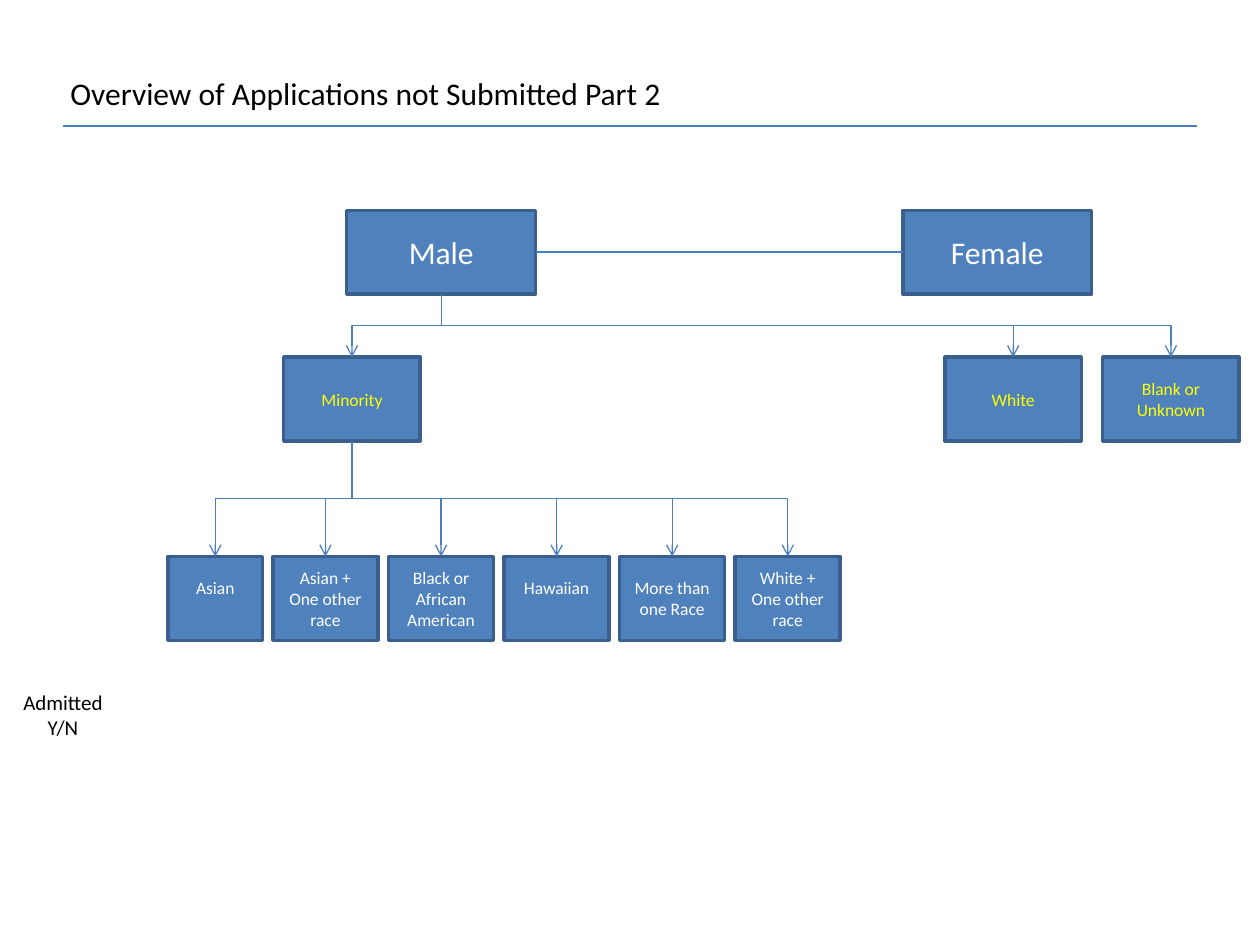
"""Build the overview slide of applications not submitted, by gender and race."""
from lxml.etree import SubElement
from pptx import Presentation
from pptx.dml.color import RGBColor
from pptx.enum.shapes import MSO_CONNECTOR, MSO_SHAPE
from pptx.enum.text import MSO_ANCHOR, PP_ALIGN
from pptx.oxml.ns import qn
from pptx.util import Cm, Pt


def color(hex_value):
    return RGBColor.from_string(hex_value)


def style_connector(connector, arrow=False):
    connector.line.color.rgb = color("4B7EBC")
    connector.line.width = Pt(0.75)
    if arrow:
        SubElement(connector.line._get_or_add_ln(), qn("a:tailEnd"), type="arrow")
    SubElement(connector.element.spPr, qn("a:effectLst"))


presentation = Presentation()
presentation.slide_width = Cm(25.4)
presentation.slide_height = Cm(19.05)
slide = presentation.slides.add_slide(presentation.slide_layouts[6])

box_height = 1.69
gender_top, group_top, race_top = 4.24, 7.2, 11.22
race_left, race_pitch = 5.5, 2.33
boxes = [
    ("Male", 6.99, gender_top, 3.81, 18, "FFFFFF"),
    ("Female", 18.2, gender_top, 3.81, 18, "FFFFFF"),
    ("Minority", 5.72, group_top, 2.75, 10, "FFFF00"),
    ("White", 19.05, group_top, 2.75, 10, "FFFF00"),
    ("Blank or Unknown", 22.23, group_top, 2.75, 10, "FFFF00"),
    ("Asian", 3.39, race_top, 1.9, 10, "FFFFFF"),
]
races = [
    "Asian + One other race",
    "Black or African American",
    "Hawaiian",
    "More than one Race",
    "White + One other race",
]
for index, race in enumerate(races):
    boxes.append((race, race_left + index * race_pitch, race_top, 2.12, 10, "FFFFFF"))

shapes = {}
for label, left, top, width, size, text_color in boxes:
    shape = slide.shapes.add_shape(
        MSO_SHAPE.RECTANGLE, Cm(left), Cm(top), Cm(width), Cm(box_height)
    )
    shape.shadow.inherit = False
    shape.fill.solid()
    shape.fill.fore_color.rgb = color("4F81BD")
    shape.line.color.rgb = color("3A5F8C")
    shape.line.width = Pt(2)
    text_frame = shape.text_frame
    text_frame.word_wrap = True
    text_frame.vertical_anchor = MSO_ANCHOR.MIDDLE
    if label in ("Asian", "Hawaiian"):
        text_frame.margin_bottom = Cm(0.55)
    paragraph = text_frame.paragraphs[0]
    paragraph.text = label
    paragraph.alignment = PP_ALIGN.CENTER
    paragraph.font.name = "Calibri"
    paragraph.font.size = Pt(size)
    paragraph.font.color.rgb = color(text_color)
    shapes[label] = shape

branches = [
    ("Male", ["Minority", "White", "Blank or Unknown"]),
    ("Minority", ["Asian"] + races),
]
for parent_label, child_labels in branches:
    parent = shapes[parent_label]
    start_x = parent.left + parent.width // 2
    start_y = parent.top + parent.height
    for child_label in child_labels:
        child = shapes[child_label]
        end_x = child.left + child.width // 2
        drop = child.top - start_y
        shift = abs(end_x - start_x)
        left = (start_x + end_x - drop) // 2
        top = (start_y + child.top - shift) // 2
        begin, end, rotation = left, left + drop, 90
        if end_x > start_x:
            begin, end, rotation = end, begin, 270
        connector = slide.shapes.add_connector(
            MSO_CONNECTOR.ELBOW, begin, top, end, top + shift
        )
        connector.element.spPr.xfrm.set("rot", str(rotation * 60000))
        style_connector(connector, arrow=True)

for begin_x, end_x, y in [(10.8, 18.2, 5.08), (1.27, 24.13, 2.54)]:
    connector = slide.shapes.add_connector(
        MSO_CONNECTOR.STRAIGHT, Cm(begin_x), Cm(y), Cm(end_x), Cm(y)
    )
    style_connector(connector)

texts = [
    ("Overview of Applications not Submitted Part 2",
     1.17, 1.37, 12.9, 1.07, 18, PP_ALIGN.LEFT),
    ("Admitted Y/N", 0, 13.77, 2.54, 1.27, 12, PP_ALIGN.CENTER),
]
for text, left, top, width, height, size, alignment in texts:
    text_box = slide.shapes.add_textbox(Cm(left), Cm(top), Cm(width), Cm(height))
    text_box.text_frame.word_wrap = True
    paragraph = text_box.text_frame.paragraphs[0]
    paragraph.text = text
    paragraph.alignment = alignment
    paragraph.font.name = "Calibri"
    paragraph.font.size = Pt(size)
    paragraph.font.color.rgb = color("000000")

presentation.save("out.pptx")
